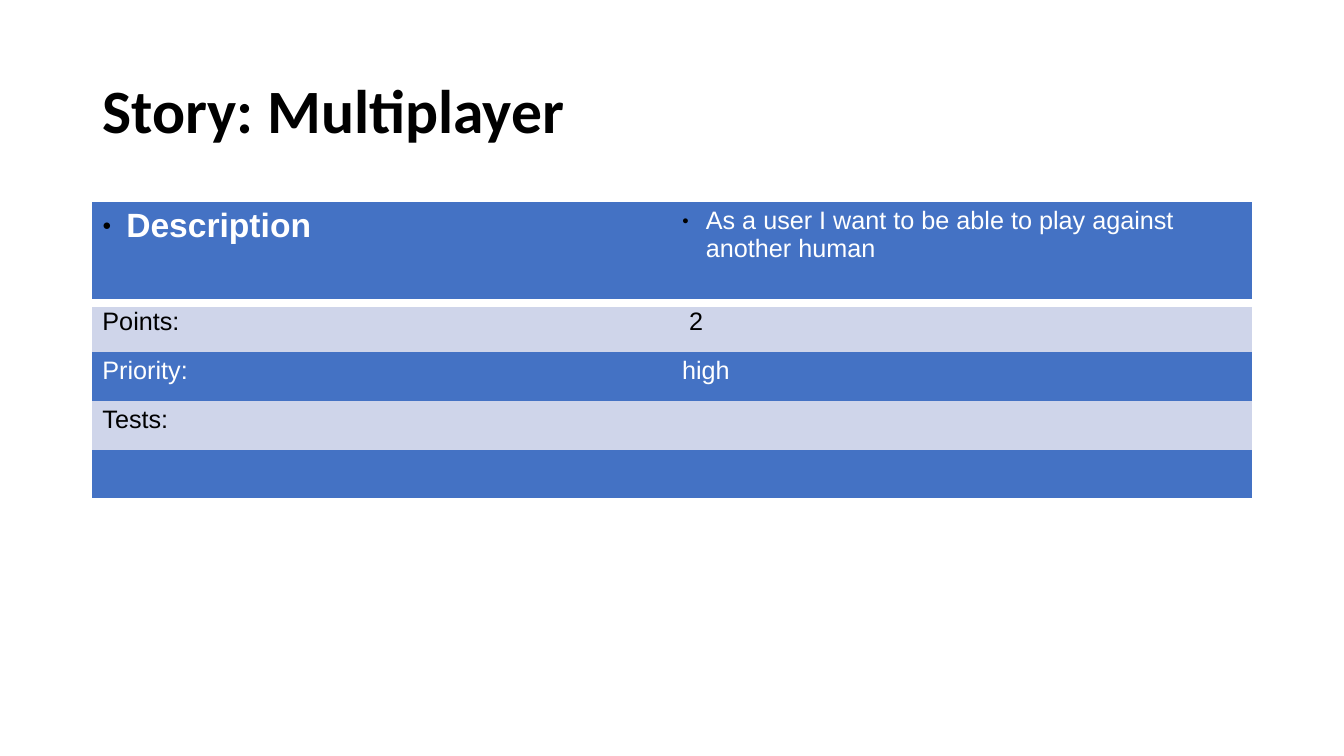
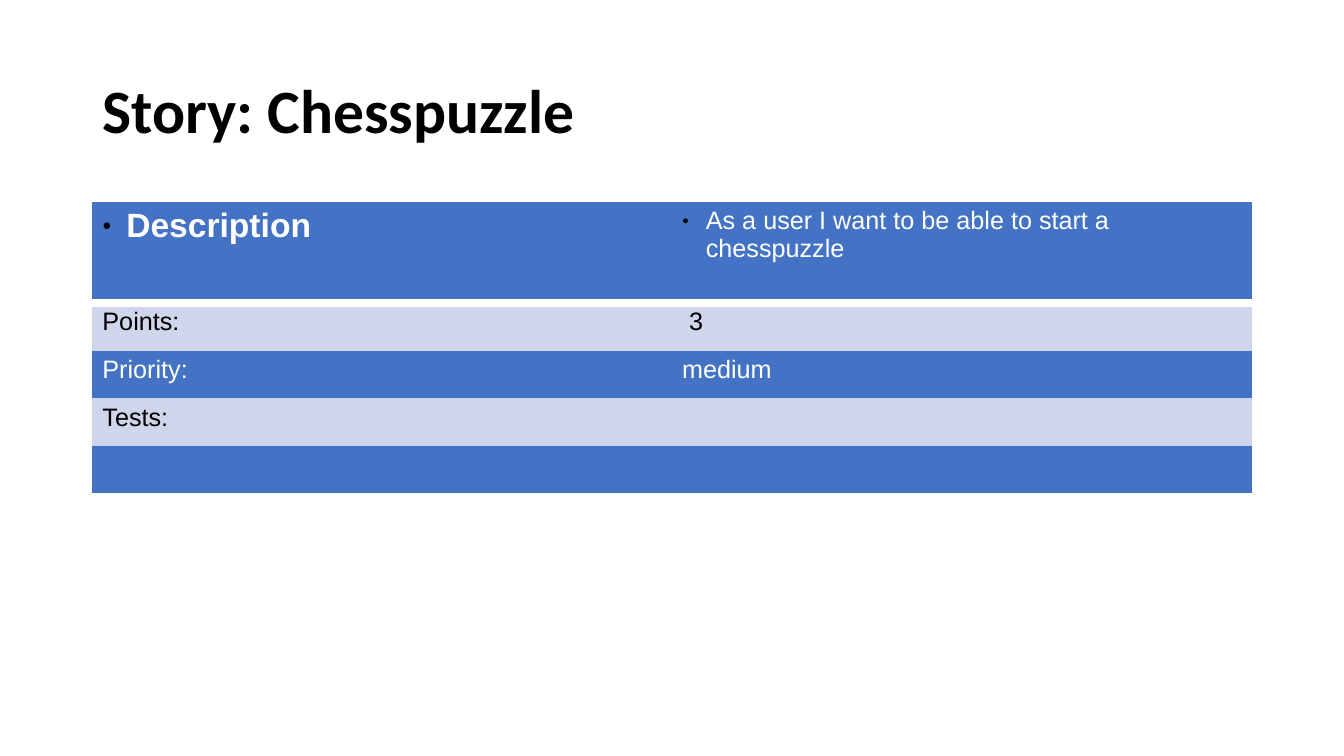
from dataclasses import dataclass
from pptx import Presentation
from pptx.dml.color import RGBColor as RGB
from pptx.enum.text import MSO_ANCHOR as Anchor, PP_ALIGN as Align
from pptx.oxml import parse_xml
from pptx.oxml.ns import nsdecls, qn
from pptx.util import Pt


@dataclass(frozen=True)
class Theme:
    black: RGB = RGB(0, 0, 0)
    white: RGB = RGB(255, 255, 255)
    blue: RGB = RGB(0x44, 0x72, 0xC4)
    pale: RGB = RGB(0xCF, 0xD5, 0xEA)
    head: str = "Calibri"
    body: str = "Arial"
    title: int = 44
    label: int = 24
    text: int = 18


theme = Theme()
LEFT, WIDTH = 66, 828
INDENT = Pt(17)
PLAIN = "{2D5ABB26-0587-4C30-8999-92F81FD0307C}"


def style(para, face, size, color, bold=False):
    for run in para.runs:
        font = run.font
        font.name, font.size, font.bold = face, Pt(size), bold
        font.color.rgb = color


def mark(cell):
    """Give a heading cell its bullet and thick lower border."""
    props = cell.text_frame.paragraphs[0]._p.get_or_add_pPr()
    props.set("marL", str(INDENT))
    props.set("indent", str(-INDENT))
    for part in (f'buClr {nsdecls("a")}><a:srgbClr val="{theme.black}"/></a:buClr',
                 f'buSzPct {nsdecls("a")} val="45000"/',
                 f'buFont {nsdecls("a")} typeface="{theme.body}"/',
                 f'buChar {nsdecls("a")} char="●"/'):
        props.append(parse_xml(f"<a:{part}>"))
    cell._tc.get_or_add_tcPr().insert(0, parse_xml(
        f'<a:lnB {nsdecls("a")} w="{Pt(6)}"><a:solidFill>'
        f'<a:srgbClr val="{theme.white}"/></a:solidFill></a:lnB>'))


# Stories: title, description, points, priority, height of the lower rows
stories = [
    ("Multiplayer", "As a user I want to be able to play against another human",
     2, "high", (35, 35, 35, 34)),
    ("Chesspuzzle", "As a user I want to be able to start a chesspuzzle",
     3, "medium", (34, 34, 34, 34)),
]

deck = Presentation()
deck.slide_width, deck.slide_height = Pt(960), Pt(540)

for name, goal, points, rank, heights in stories:
    slide = deck.slides.add_slide(deck.slide_layouts[5])

    # Title
    title = slide.shapes.title
    title.left, title.top = Pt(LEFT), Pt(28.8)
    title.width, title.height = Pt(WIDTH), Pt(104.4)
    frame = title.text_frame
    frame.text = f"Story: {name}"
    frame.vertical_anchor = Anchor.MIDDLE
    para = frame.paragraphs[0]
    para.alignment, para.line_spacing = Align.LEFT, 0.9
    style(para, theme.head, theme.title, theme.black, True)

    # Story table
    rows = [("Description", goal), ("Points:", f" {points}"),
            ("Priority:", rank), ("Tests:", ""), ("", "")]
    sizes = (72.5, *heights)
    table = slide.shapes.add_table(len(rows), 2, Pt(LEFT), Pt(144),
                                   Pt(WIDTH), Pt(sum(sizes))).table
    table.first_row = table.horz_banding = False
    table._tbl.tblPr.find(qn("a:tableStyleId")).text = PLAIN

    for r, (texts, size) in enumerate(zip(rows, sizes)):
        table.rows[r].height = Pt(size)
        fill, ink = ((theme.pale, theme.black) if r % 2
                     else (theme.blue, theme.white))
        for c, text in enumerate(texts):
            cell = table.cell(r, c)
            cell.fill.solid()
            cell.fill.fore_color.rgb = fill
            cell.text_frame.text = text
            lead = r == 0 and c == 0
            style(cell.text_frame.paragraphs[0], theme.body,
                  theme.label if lead else theme.text, ink, lead)
            if r == 0:
                mark(cell)

deck.save("out.pptx")
